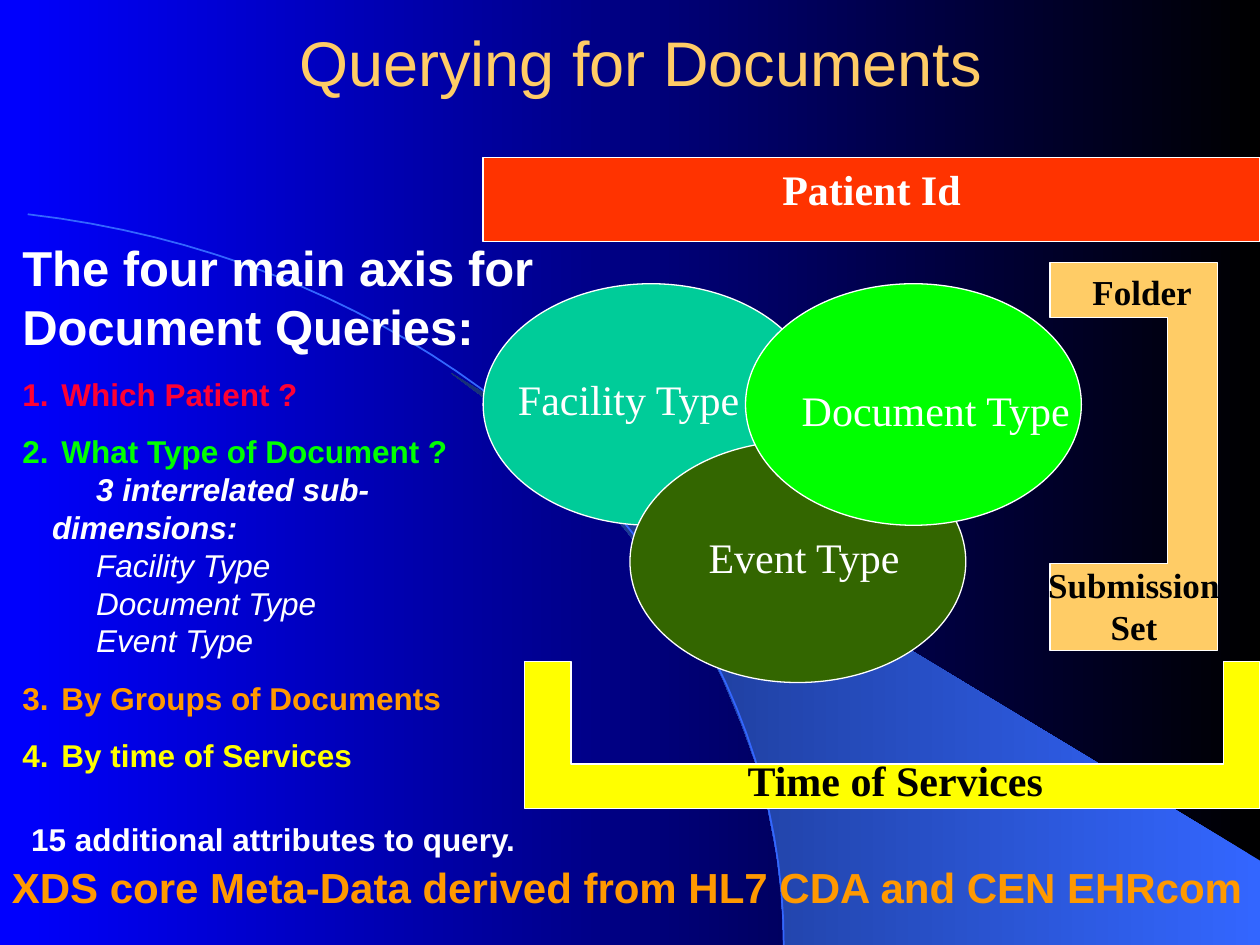
import pptx
import pptx.util
import pptx.dml.color
import pptx.enum.shapes
import pptx.enum.text
import lxml.etree

Cm = pptx.util.Cm
Pt = pptx.util.Pt
rgb = pptx.dml.color.RGBColor.from_string
MSO_SHAPE = pptx.enum.shapes.MSO_SHAPE
CENTER = pptx.enum.text.PP_ALIGN.CENTER
SERIF = "Times New Roman"
NS = "http://schemas.openxmlformats.org/drawingml/2006/main"

deck = pptx.Presentation()
deck.slide_width = Cm(25.4)
deck.slide_height = Cm(19.05)
slide = deck.slides.add_slide(deck.slide_layouts[6])


def gradient(fill, start, end):
    fill.gradient()
    fill.gradient_angle = 180
    for stop, color, position in zip(fill.gradient_stops, (start, end), (0, 1)):
        stop.color.rgb = rgb(color)
        stop.position = position


def outline(points, close):
    corners = [(Cm(x), Cm(y)) for x, y in points]
    builder = slide.shapes.build_freeform(*corners[0], scale=1.0)
    builder.add_line_segments(corners[1:], close=close)
    shape = builder.convert_to_shape()
    shape.shadow.inherit = False
    return shape


gradient(slide.background.fill, "000000", "0000FF")

beam = outline([
    (15.8, 19.05), (25.4, 19.05), (25.4, 17.35), (9.09, 7.52), (9.8, 8.05),
    (10.36, 8.48), (11.02, 9.07), (11.66, 9.65), (12.6, 10.67), (13.41, 11.73),
    (14.02, 12.67), (14.55, 13.64), (14.96, 14.63), (15.27, 15.49),
    (15.47, 16.26), (15.65, 17.2), (15.75, 18.01)], True)
gradient(beam.fill, "3366FF", "172F75")
beam.line.fill.background()

arc_controls = [(0.56, 4.32), (9.27, 5.33), (15.8, 11.71), (15.8, 19.05)]
arc_points = []
for step in range(41):
    t = step / 40
    weights = ((1 - t) ** 3, 3 * t * (1 - t) ** 2, 3 * t ** 2 * (1 - t), t ** 3)
    arc_points.append([sum(w * point[axis] for w, point in zip(weights, arc_controls))
                       for axis in (0, 1)])
arc = outline(arc_points, False)
arc.fill.background()
arc.line.color.rgb = rgb("3366FF")
arc.line.width = Pt(1)

axes = slide.shapes.add_textbox(Cm(0.2), Cm(4.67), Cm(11.23), Cm(11.99)).text_frame
axes.word_wrap = True
axis_lines = [
    ("The four main axis for Document Queries:", 28, "FFFFFF", True, False, 17.5, 0, 0, None),
    ("Which Patient ?", 18, "FF0033", True, False, 11.2, 0.79, -0.79, 1),
    ("What Type of Document ?", 18, "00FF00", True, False, 11.2, 0.79, -0.79, 2),
    ("3 interrelated sub-dimensions:", 18, "FFFFFF", True, True, 0, 0.6, 0.89, None),
    ("Facility Type", 18, "FFFFFF", False, True, 0, 0.6, 0.89, None),
    ("Document Type", 18, "FFFFFF", False, True, 0, 0.6, 0.89, None),
    ("Event Type", 18, "FFFFFF", False, True, 0, 0.6, 0.89, None),
    ("By Groups of Documents", 18, "FF9900", True, False, 11.2, 0.79, -0.79, 3),
    ("By time of Services", 18, "FFFF00", True, False, 11.2, 0.79, -0.79, 4),
    ("15 additional attributes to query.", 18, "FFFFFF", True, False, 26, 0, 0.18, None),
]
for index, (text, size, color, bold, italic, before, margin, indent, number) in enumerate(axis_lines):
    line = axes.add_paragraph() if index else axes.paragraphs[0]
    line.text = text
    line.space_before = Pt(before)
    properties = line._p.get_or_add_pPr()
    properties.set("marL", str(Cm(margin)))
    properties.set("indent", str(Cm(indent)))
    if number:
        bullet_color = lxml.etree.SubElement(properties, f"{{{NS}}}buClr")
        lxml.etree.SubElement(bullet_color, f"{{{NS}}}srgbClr", val=color)
        lxml.etree.SubElement(properties, f"{{{NS}}}buAutoNum", type="arabicPeriod", startAt=str(number))
    line.font.name = "Arial"
    line.font.size = Pt(size)
    line.font.bold = bold
    line.font.italic = italic
    line.font.color.rgb = rgb(color)

blocks = []
for kind, left, top, width, height, color in [
    (MSO_SHAPE.OVAL, 9.74, 5.72, 6.77, 4.87, "00CC99"),
    (MSO_SHAPE.OVAL, 12.7, 8.89, 6.77, 4.87, "336600"),
    (MSO_SHAPE.OVAL, 15.03, 5.72, 6.77, 4.87, "00FF00"),
    (MSO_SHAPE.RECTANGLE, 9.74, 3.18, 15.66, 1.69, "FF3300"),
]:
    block = slide.shapes.add_shape(kind, Cm(left), Cm(top), Cm(width), Cm(height))
    block.shadow.inherit = False
    blocks.append((block, color))
patient_bar = blocks[-1][0]

time_bracket = outline([
    (10.58, 13.34), (10.58, 16.3), (25.4, 16.3), (25.4, 13.34),
    (24.66, 13.34), (24.66, 15.4), (11.51, 15.4), (11.51, 13.34)], True)
group_bracket = outline([
    (21.17, 13.11), (24.54, 13.11), (24.54, 5.29), (21.17, 5.29),
    (21.17, 6.4), (23.53, 6.4), (23.53, 11.36), (21.17, 11.36)], True)
blocks += [(time_bracket, "FFFF00"), (group_bracket, "FFCC66")]
for block, color in blocks:
    block.fill.solid()
    block.fill.fore_color.rgb = rgb(color)
    block.line.color.rgb = rgb("FFFFFF")
    block.line.width = Pt(0.75)

patient_bar.text_frame.vertical_anchor = pptx.enum.text.MSO_ANCHOR.TOP
patient_id = patient_bar.text_frame.paragraphs[0]
patient_id.text = "Patient Id"
patient_id.alignment = CENTER
patient_id.font.name = SERIF
patient_id.font.size = Pt(24)
patient_id.font.bold = True
patient_id.font.color.rgb = rgb("FFFFFF")

for text, left, top, width, height, font, size, color, bold in [
    ("Querying for Documents", 2.12, 1.06, 21.59, 1.06, "Arial", 36, "FFCC66", False),
    ("Time of Services", 14.81, 15.09, 6.48, 1.27, SERIF, 24, "000000", True),
    ("Document Type", 15.88, 7.62, 5.97, 1.27, SERIF, 24, "FFFFFF", False),
    ("Facility Type", 10.16, 7.41, 5.03, 1.27, SERIF, 24, "FFFFFF", False),
    ("Event Type", 14, 10.59, 4.42, 1.27, SERIF, 24, "FFFFFF", False),
    ("XDS core Meta-Data derived from HL7 CDA and CEN EHRcom",
     -0.03, 17.25, 25.35, 1.27, "Arial", 24, "FF9900", True),
    ("Folder", 21.77, 5.33, 2.51, 1.12, SERIF, 20, "000000", True),
    ("Submission\vSet", 20.88, 11.23, 3.96, 1.96, SERIF, 20, "000000", True),
]:
    frame = slide.shapes.add_textbox(Cm(left), Cm(top), Cm(width), Cm(height)).text_frame
    frame.word_wrap = False
    if size == 36:
        frame.word_wrap = True
        frame.vertical_anchor = pptx.enum.text.MSO_ANCHOR.BOTTOM
    label = frame.paragraphs[0]
    label.text = text
    label.alignment = CENTER
    label.font.name = font
    label.font.size = Pt(size)
    label.font.bold = bold
    label.font.color.rgb = rgb(color)

deck.save("out.pptx")
